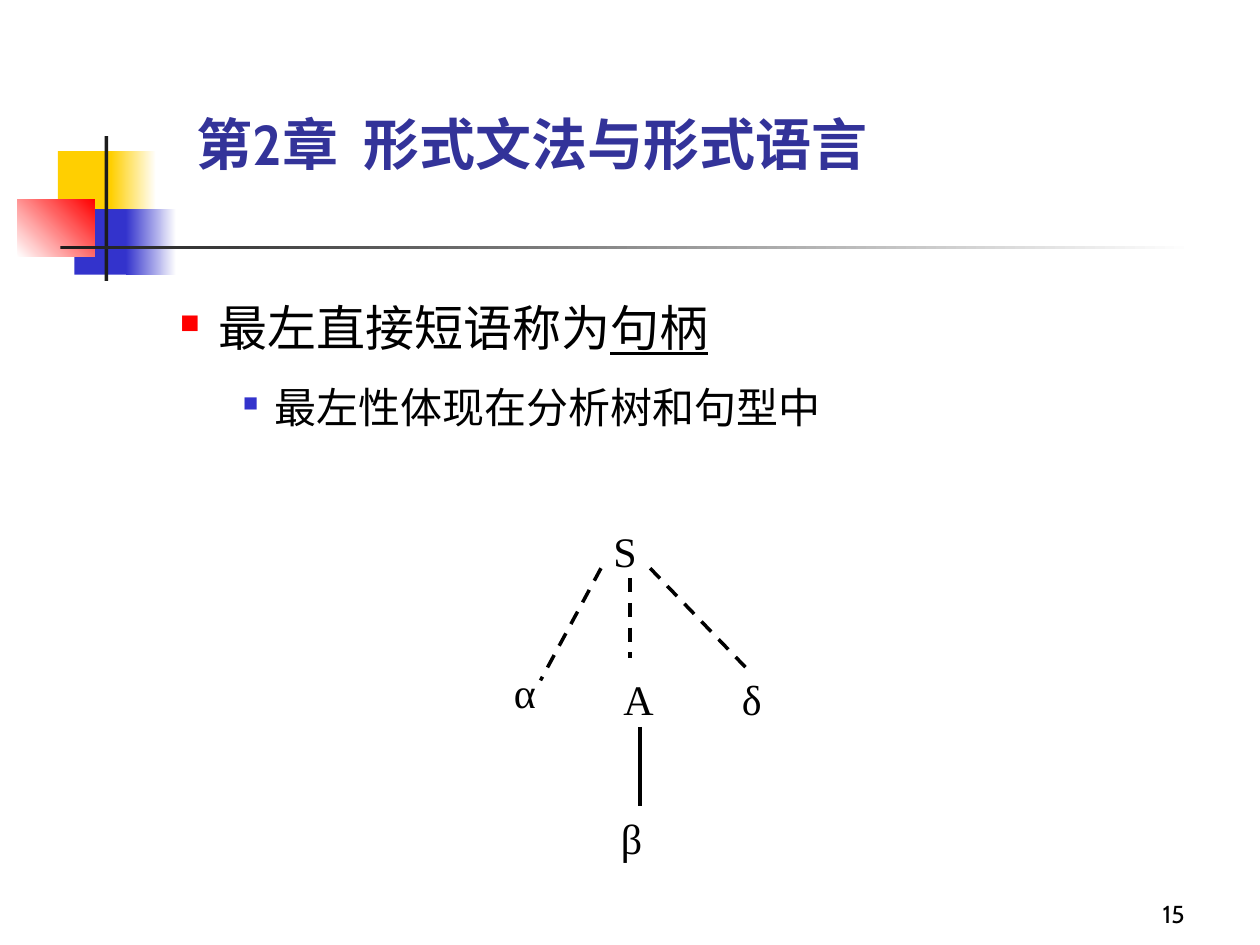
"""Build a slide on leftmost direct phrases with a small parse tree."""
import pptx
import pptx.util
import pptx.dml.color
import pptx.enum.dml
import pptx.enum.shapes
import pptx.enum.text
import lxml.etree

Inches, Pt = pptx.util.Inches, pptx.util.Pt
Anchor = pptx.enum.text.MSO_ANCHOR
SANS, SERIF = "Cabin", "Times New Roman"
BLACK, WHITE, DARK = "000000", "FFFFFF", "1C1C1C"
GOLD, BLUE, RED, NAVY = "FFCF01", "3333CC", "FF0000", "333399"

BLOCKS = [
    ((0.46, 1.2, 0.48, 0.52), [GOLD], 0),
    ((0.88, 1.2, 0.36, 0.52), [GOLD, WHITE], 0),
    ((0.59, 1.66, 0.46, 0.52), [BLUE], 0),
    ((1, 1.66, 0.4, 0.52), [BLUE, WHITE], 0),
    ((0.14, 1.58, 0.61, 0.46), [WHITE, RED], 45),
    ((0.83, 1.08, 0.03, 1.15), [DARK], 0),
    ((0.48, 1.95, 9, 0.03), [DARK, WHITE], 0),
]
TITLE = "第2章  形式文法与形式语言"
PAGE = "15"
POINTS = [
    {"runs": [("最左直接短语称为", False), ("句柄", True)], "size": 28,
     "left": 0.81, "hang": 0.31, "gap": 7, "mark": RED, "scale": 55},
    {"runs": [("最左性体现在分析树和句型中", False)], "size": 24,
     "left": 1.25, "hang": 0.25, "gap": 6, "mark": BLUE, "scale": 50},
]
NODES = [("S", 4.77, 4.12), ("α", 3.98, 5.24), ("A", 4.85, 5.3),
         ("δ", 5.79, 5.3), ("β", 4.83, 6.4)]
EDGES = [
    ((4.77, 4.51), (4.29, 5.4), True),
    ((5, 4.59), (5, 5.22), True),
    ((5.16, 4.51), (5.94, 5.32), True),
    ((5.08, 5.77), (5.08, 6.4), False),
]


def color(code):
    return pptx.dml.color.RGBColor.from_string(code)


def add_sub(node, tag, **attrs):
    return lxml.etree.SubElement(node, pptx.oxml.ns.qn(tag), attrs)


def style(run, size, face=SANS, code=BLACK):
    run.font.size, run.font.name = Pt(size), face
    run.font.color.rgb = color(code)


def add_box(slide, box, anchor=Anchor.TOP):
    frame = slide.shapes.add_textbox(*map(Inches, box)).text_frame
    frame.word_wrap, frame.vertical_anchor = True, anchor
    return frame


def add_block(slide, box, codes, angle):
    kind = pptx.enum.shapes.MSO_SHAPE.RECTANGLE
    shape = slide.shapes.add_shape(kind, *map(Inches, box))
    shape.shadow.inherit = False
    shape.line.fill.background()
    if len(codes) == 1:
        shape.fill.solid()
        shape.fill.fore_color.rgb = color(codes[0])
        return
    shape.fill.gradient()
    shape.fill.gradient_angle = angle
    for stop, code in zip(shape.fill.gradient_stops, codes):
        stop.color.rgb = color(code)


def add_points(slide):
    frame = add_box(slide, (0.83, 2.17, 8.66, 1.58))
    for level, point in enumerate(POINTS):
        para = frame.add_paragraph() if level else frame.paragraphs[0]
        para.level = level
        para.line_spacing, para.space_before = 1.3, Pt(point["gap"])
        props = para._p.get_or_add_pPr()
        props.set("marL", str(Inches(point["left"])))
        props.set("indent", str(-Inches(point["hang"])))
        add_sub(add_sub(props, "a:buClr"), "a:srgbClr", val=point["mark"])
        add_sub(props, "a:buSzPct", val=str(point["scale"] * 1000))
        add_sub(props, "a:buChar", char="■")
        for text, under in point["runs"]:
            run = para.add_run()
            run.text = text
            style(run, point["size"])
            run.font.underline = under


def add_node(slide, text, left, top):
    frame = add_box(slide, (left, top, 0.33, 0.5))
    frame.auto_size = pptx.enum.text.MSO_AUTO_SIZE.SHAPE_TO_FIT_TEXT
    frame.text = text
    para = frame.paragraphs[0]
    para.space_before = Pt(15)
    style(para.runs[0], 24, SERIF)


def add_edge(slide, start, end, dashed):
    kind = pptx.enum.shapes.MSO_CONNECTOR.STRAIGHT
    edge = slide.shapes.add_connector(kind, *map(Inches, start + end))
    edge.line.width = Pt(2)
    edge.line.color.rgb = color(BLACK)
    if dashed:
        edge.line.dash_style = pptx.enum.dml.MSO_LINE.DASH
    add_sub(edge._element.spPr, "a:effectLst")


def main():
    deck = pptx.Presentation()
    deck.slide_width, deck.slide_height = Inches(10), Inches(7.5)
    slide = deck.slides.add_slide(deck.slide_layouts[6])
    for block in BLOCKS:
        add_block(slide, *block)
    page = add_box(slide, (7.42, 6.92, 2.08, 0.5), Anchor.BOTTOM)
    page.text = PAGE
    page.paragraphs[0].alignment = pptx.enum.text.PP_ALIGN.RIGHT
    style(page.paragraphs[0].runs[0], 14)
    add_points(slide)
    for node in NODES:
        add_node(slide, *node)
    for edge in EDGES:
        add_edge(slide, *edge)
    title = add_box(slide, (1.46, 0.76, 6.3, 0.69), Anchor.BOTTOM)
    title.text = TITLE
    head = title.paragraphs[0].runs[0]
    style(head, 32, SANS, NAVY)
    head.font.bold = True
    deck.save("out.pptx")


if __name__ == "__main__":
    main()
